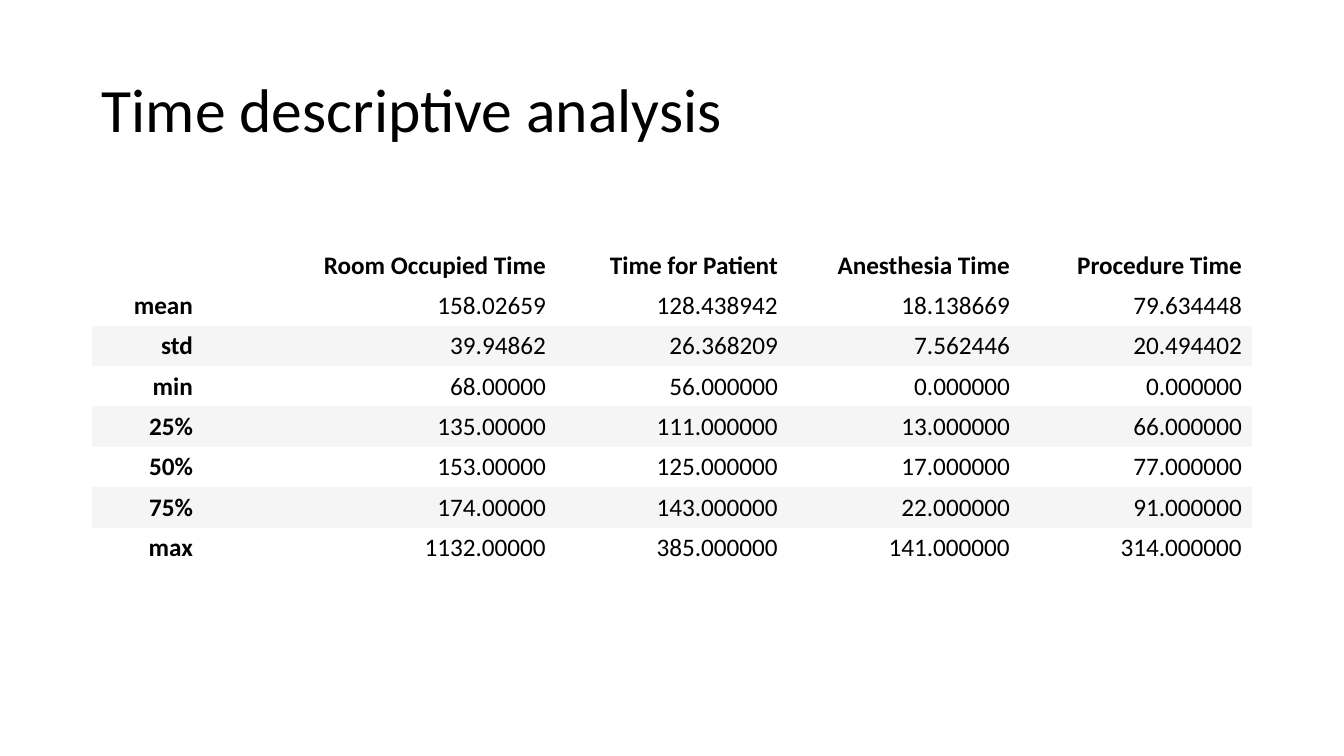
from pptx import Presentation
from pptx.dml.color import RGBColor
from pptx.enum.text import MSO_ANCHOR, PP_ALIGN
from pptx.oxml.ns import qn
from pptx.util import Emu, Pt

COLOURS = {"text": "000000", "band": "F5F5F5"}
FONT = "Calibri"
PX = 914400 / 100.8
PLAIN_TABLE_STYLE = "{2D5ABB26-0587-4C30-8999-92F81FD0307C}"

HEADINGS = ["", "Room Occupied Time", "Time for Patient",
            "Anesthesia Time", "Procedure Time"]
STATISTICS = [
    ["mean", "158.02659", "128.438942", "18.138669", "79.634448"],
    ["std", "39.94862", "26.368209", "7.562446", "20.494402"],
    ["min", "68.00000", "56.000000", "0.000000", "0.000000"],
    ["25%", "135.00000", "111.000000", "13.000000", "66.000000"],
    ["50%", "153.00000", "125.000000", "17.000000", "77.000000"],
    ["75%", "174.00000", "143.000000", "22.000000", "91.000000"],
    ["max", "1132.00000", "385.000000", "141.000000", "314.000000"],
]


def px(length):
    return Emu(round(length * PX))


class Page:
    """Holds the style and the current slide."""

    def __init__(self, deck):
        self.slide = deck.slides.add_slide(deck.slide_layouts[6])

    def set_text(self, para, text, size, bold=False):
        para.text = text
        para.font.name = FONT
        para.font.size = Pt(size)
        para.font.bold = bold
        para.font.color.rgb = RGBColor.from_string(COLOURS["text"])

    def title(self, text, left, top, width, height):
        box = self.slide.shapes.add_textbox(px(left), px(top), px(width), px(height))
        frame = box.text_frame
        frame.word_wrap = True
        frame.vertical_anchor = MSO_ANCHOR.MIDDLE
        para = frame.paragraphs[0]
        para.line_spacing = 0.9
        self.set_text(para, text, 44)

    def table(self, rows, left, top, widths, row_height):
        frame = self.slide.shapes.add_table(
            len(rows), len(widths), px(left), px(top),
            px(sum(widths)), px(row_height * len(rows)))
        table = frame.table
        table.horz_banding = False
        # A style without grid lines
        for style in frame.element.iter(qn("a:tableStyleId")):
            style.text = PLAIN_TABLE_STYLE
        for column, width in zip(table.columns, widths):
            column.width = px(width)
        for r, row in enumerate(rows):
            table.rows[r].height = px(row_height)
            for c, text in enumerate(row):
                self.cell(table.cell(r, c), text,
                          bold=r == 0 or c == 0, banded=r > 0 and r % 2 == 0)

    def cell(self, cell, text, bold, banded):
        cell.vertical_anchor = MSO_ANCHOR.MIDDLE
        para = cell.text_frame.paragraphs[0]
        para.alignment = PP_ALIGN.RIGHT
        self.set_text(para, text, 18, bold)
        if banded:
            cell.fill.solid()
            cell.fill.fore_color.rgb = RGBColor.from_string(COLOURS["band"])
        else:
            cell.fill.background()


def main():
    deck = Presentation()
    deck.slide_width, deck.slide_height = px(1344), px(756)
    page = Page(deck)

    # Heading
    page.title("Time descriptive analysis", 92, 40, 1160, 146)

    # Summary statistics
    page.table([HEADINGS] + STATISTICS, 92, 245, [111, 353, 232, 232, 232], 40)

    deck.save("out.pptx")


if __name__ == "__main__":
    main()
